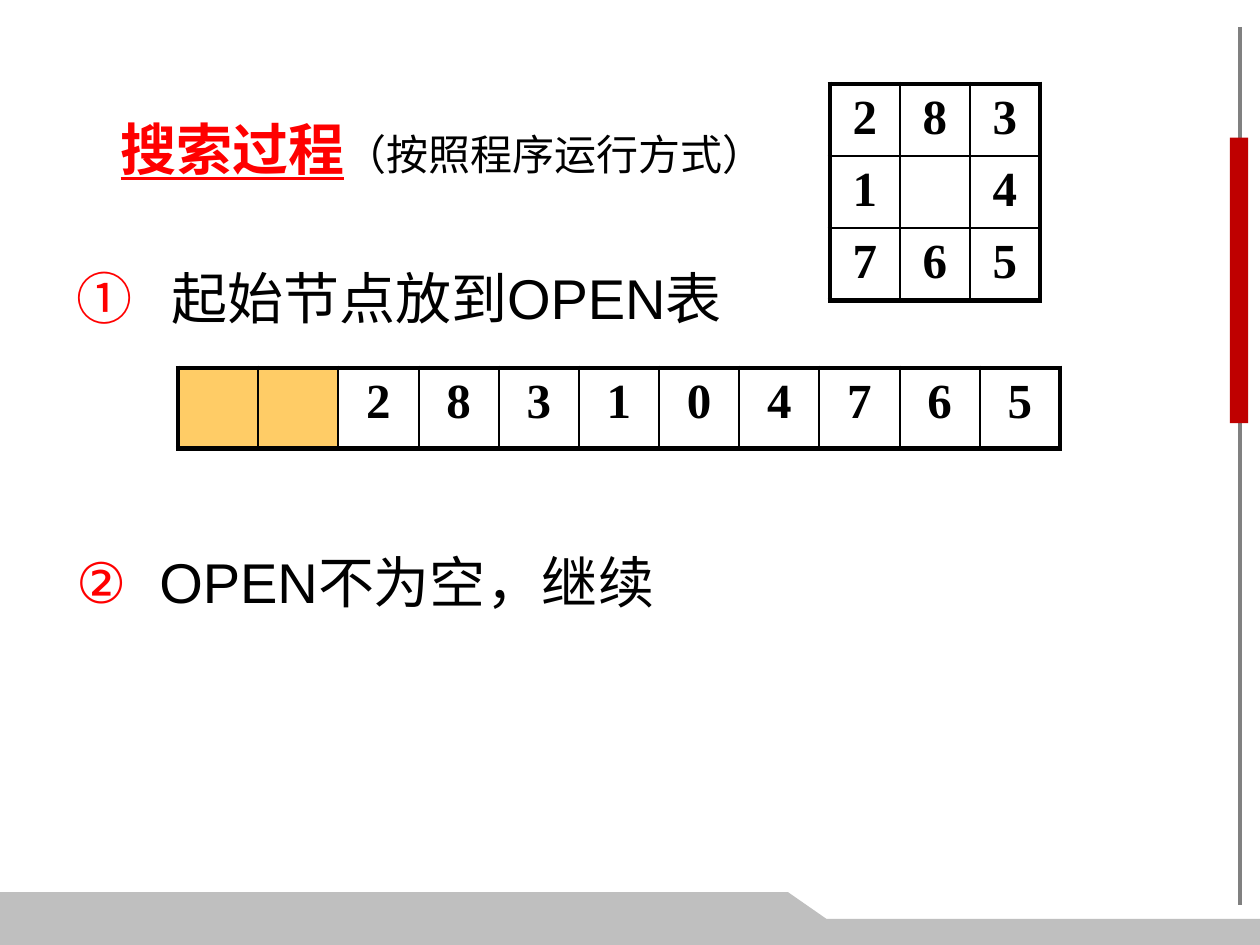
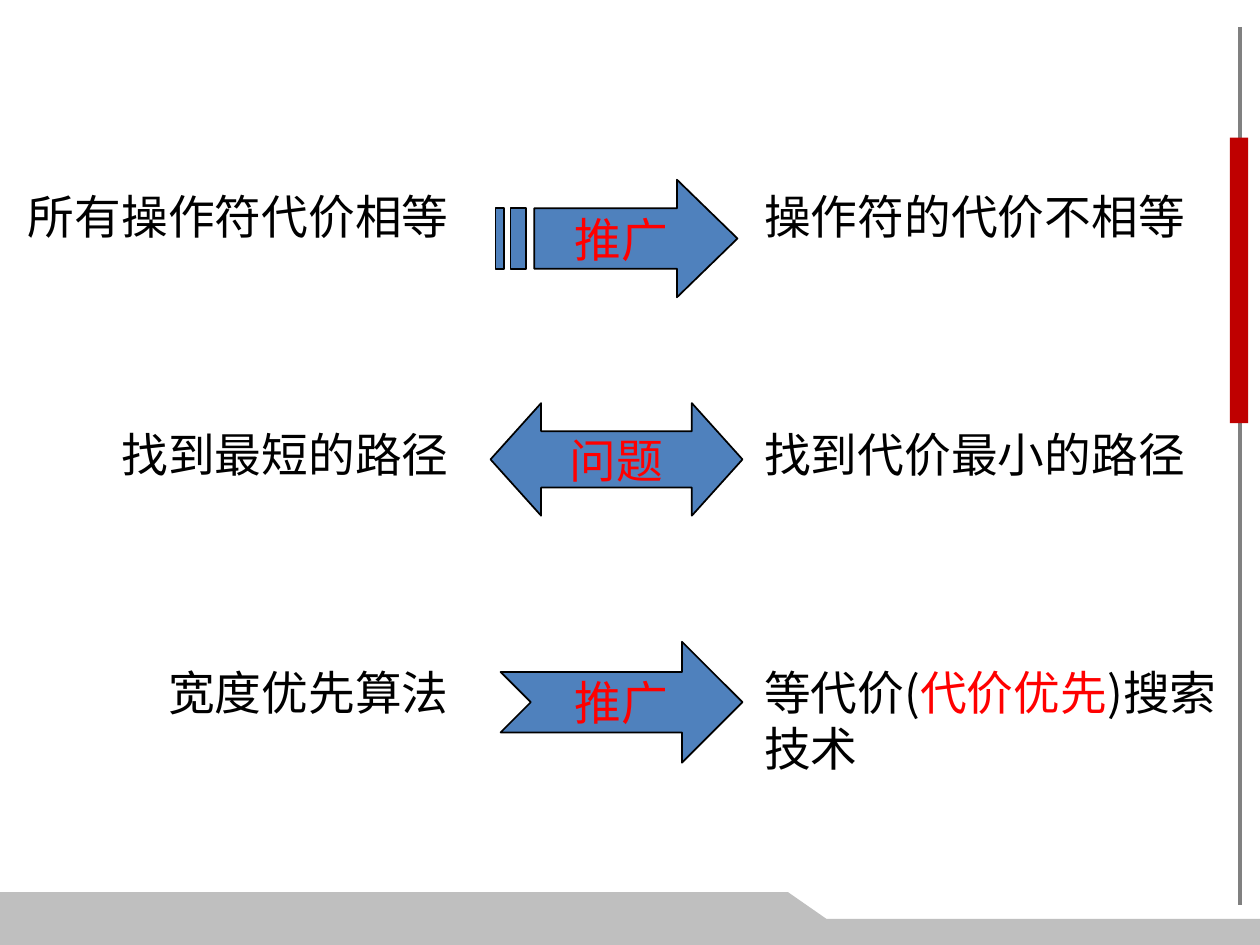
import pptx
import pptx.dml.color
import pptx.enum.shapes
import pptx.enum.text
import pptx.oxml
import pptx.oxml.ns
import pptx.util

WIDTH = 7.5
HEIGHT = WIDTH * 3 / 4
BLACK, WHITE, RED = "000000", "FFFFFF", "FF0000"
GRAY, SILVER, CRIMSON, BLUE, AMBER = "808080", "BFBFBF", "BF0000", "4F81BD", "FFCC66"
SANS, SERIF, CJK = "Arial", "Times New Roman", "Noto Sans CJK SC"
LEFT, CENTER, RIGHT = (getattr(pptx.enum.text.PP_ALIGN, name) for name in ("LEFT", "CENTER", "RIGHT"))
SHAPES = pptx.enum.shapes.MSO_SHAPE

FOOTER = [(0, 531), (469, 531), (492, 547), (750, 547), (750, 563), (0, 563)]
BURST_ARROW = [
    [(403, 107), (403, 124), (318, 124), (318, 160), (403, 160), (403, 177), (439, 142)],
    [(304, 124), (304, 160), (313, 160), (313, 124)],
    [(295, 124), (295, 160), (300, 160), (300, 124)],
]

TITLE = [("搜索过程", 24, RED, True), ("（按照程序运行方式）", 18, BLACK, False)]
STEPS = [
    (1.52, 0.56, "①", "起始节点放到OPEN表"),
    (3.21, 0.49, "②", "OPEN不为空，继续"),
]
PUZZLE = ["283", "1 4", "765"]
OPEN_ROW = ["  283104765"]

BEFORE = ["所有操作符代价相等", "找到最短的路径", "宽度优先算法"]
AFTER = ["操作符的代价不相等", "找到代价最小的路径", "等代价(|代价优先|)搜索技术"]
COLUMNS = [
    ((0.04, 1.07, 2.73, 3.47), RIGHT, BEFORE),
    ((4.45, 1.07, 2.92, 3.8), LEFT, AFTER),
]
ARROWS = [
    (SHAPES.LEFT_RIGHT_ARROW, (2.92, 2.4, 1.5, 0.67), (0.5, 0.45), "问题"),
    (SHAPES.NOTCHED_RIGHT_ARROW, (2.98, 3.82, 1.44, 0.72), (0.5, 0.5), "推广"),
]


def inches(lengths):
    return [pptx.util.Inches(length) for length in lengths]


def color(value):
    return pptx.dml.color.RGBColor.from_string(value)


def element(parent, tag, **attributes):
    node = parent.makeelement(pptx.oxml.ns.qn(tag), attributes)
    parent.append(node)
    return node


def paint(shape, fill, line=None):
    shape.shadow.inherit = False
    shape.fill.solid()
    shape.fill.fore_color.rgb = color(fill)
    if line:
        shape.line.color.rgb = color(line)
        shape.line.width = pptx.util.Pt(0.75)
    else:
        shape.line.fill.background()


def write(para, text, size, tint, bold=False, underline=False, font=SANS):
    span = para.add_run()
    span.text = text
    span.font.name = font
    span.font.size = pptx.util.Pt(size)
    span.font.bold = bold
    span.font.underline = underline
    span.font.color.rgb = color(tint)
    element(span.font._element, "a:ea", typeface=CJK)


def text_box(page, area):
    box = page.shapes.add_textbox(*inches(area))
    box.text_frame.word_wrap = True
    return box.text_frame


def outline(page, contours):
    builder = page.shapes.build_freeform(*contours[0][0], scale=9144.0)
    for index, contour in enumerate(contours):
        if index:
            builder.move_to(*contour[0])
        builder.add_line_segments(contour[1:], close=True)
    return builder.convert_to_shape()


def new_page(deck):
    page = deck.slides.add_slide(deck.slide_layouts[6])
    rail = page.shapes.add_connector(
        pptx.enum.shapes.MSO_CONNECTOR.STRAIGHT, *inches((7.38, 0.16, 7.38, 5.39)))
    rail.line.color.rgb = color(GRAY)
    rail.line.width = pptx.util.Pt(1.5)
    element(rail._element.spPr, "a:effectLst")
    paint(outline(page, [FOOTER]), SILVER)
    paint(page.shapes.add_shape(SHAPES.RECTANGLE, *inches((7.32, 0.82, 0.11, 1.7))), CRIMSON)
    return page


def border(cell, side, points):
    line = element(cell._tc.get_or_add_tcPr(), "a:ln" + side, w=str(pptx.util.Pt(points)))
    element(element(line, "a:solidFill"), "a:srgbClr", val=BLACK)


def number_grid(page, rows, area, blanks=0):
    row_count, column_count = len(rows), len(rows[0])
    table = page.shapes.add_table(row_count, column_count, *inches(area)).table
    table.first_row = table.horz_banding = False
    for column in table.columns:
        column.width = pptx.util.Inches(area[2] / column_count)
    for row in table.rows:
        row.height = pptx.util.Inches(area[3] / row_count)
    for r, digits in enumerate(rows):
        for c, digit in enumerate(digits):
            cell = table.cell(r, c)
            cell.margin_left = cell.margin_right = pptx.util.Inches(0.07)
            cell.margin_top = cell.margin_bottom = pptx.util.Inches(0.04)
            outer = {"L": c == 0, "R": c == column_count - 1, "T": r == 0, "B": r == row_count - 1}
            for side, thick in outer.items():
                border(cell, side, 2.25 if thick else 1)
            cell.fill.solid()
            cell.fill.fore_color.rgb = color(AMBER if c < blanks else WHITE)
            para = cell.text_frame.paragraphs[0]
            para.alignment = CENTER
            if digit.strip():
                write(para, digit, 21, BLACK, bold=True, font=SERIF)


def search_page(deck):
    page = new_page(deck)
    para = text_box(page, (0.62, 0.63, 4.78, 0.5)).paragraphs[0]
    para.line_spacing = pptx.util.Pt(28.8)
    for text, size, tint, strong in TITLE:
        write(para, text, size, tint, strong, strong)
    for top, indent, mark, text in STEPS:
        para = text_box(page, (0.36, top, 4.95, 0.5)).paragraphs[0]
        para.line_spacing = pptx.util.Pt(28.8)
        stops = element(para._p.get_or_add_pPr(), "a:tabLst")
        element(stops, "a:tab", pos=str(pptx.util.Inches(indent)), algn="l")
        write(para, mark + "\t", 24, RED)
        write(para, text, 24, BLACK)
    number_grid(page, OPEN_ROW, (1.06, 2.19, 5.25, 0.48), blanks=2)
    number_grid(page, PUZZLE, (4.94, 0.5, 1.25, 1.27))


def label_arrow(shape, text, inset=0.1):
    paint(shape, BLUE, BLACK)
    frame = shape.text_frame
    frame.word_wrap = False
    frame.margin_left = pptx.util.Inches(inset)
    frame.vertical_anchor = pptx.enum.text.MSO_ANCHOR.MIDDLE
    para = frame.paragraphs[0]
    para.alignment = CENTER
    write(para, text, 20, RED)


def compare_page(deck):
    page = new_page(deck)
    for area, alignment, lines in COLUMNS:
        frame = text_box(page, area)
        for index, line in enumerate(lines):
            para = frame.add_paragraph() if index else frame.paragraphs[0]
            para.alignment = alignment
            para.line_spacing = pptx.util.Pt(24)
            para.space_before = pptx.util.Pt(78 if index else 0)
            for part, text in enumerate(line.split("|")):
                write(para, text, 20, RED if part == 1 else BLACK, font=CJK)
    for kind, area, adjustments, text in ARROWS:
        arrow = page.shapes.add_shape(kind, *inches(area))
        for index, value in enumerate(adjustments):
            arrow.adjustments[index] = value
        label_arrow(arrow, text)
    label_arrow(outline(page, BURST_ARROW), "推广", inset=0.16)


def main():
    deck = pptx.Presentation()
    deck.slide_width, deck.slide_height = inches((WIDTH, HEIGHT))
    search_page(deck)
    compare_page(deck)
    deck.save("out.pptx")


if __name__ == "__main__":
    main()
